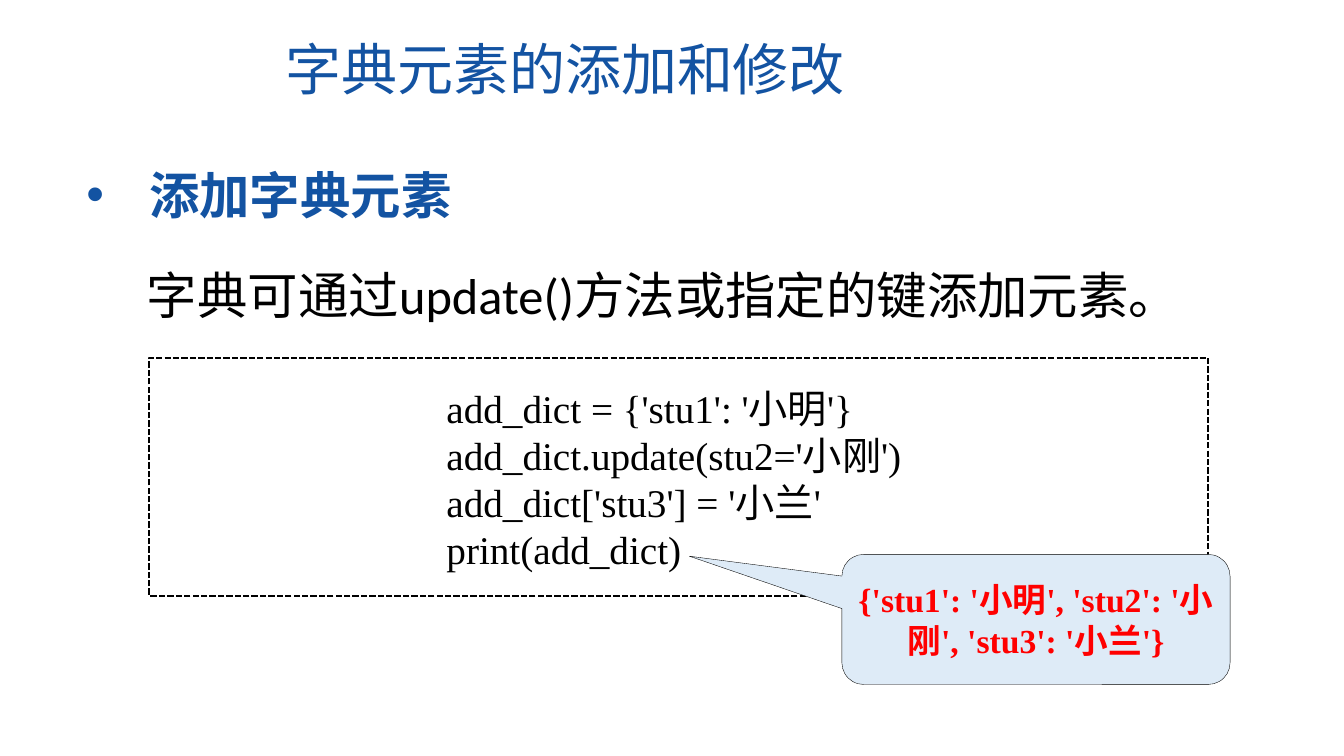
from dataclasses import dataclass

from lxml.etree import SubElement
from pptx import Presentation
from pptx.dml.color import RGBColor
from pptx.enum.dml import MSO_LINE
from pptx.enum.shapes import MSO_SHAPE as Preset
from pptx.enum.text import MSO_ANCHOR as Anchor, MSO_AUTO_SIZE as AutoSize, PP_ALIGN as Align
from pptx.oxml.ns import qn
from pptx.shapes.autoshape import Shape
from pptx.slide import Slide
from pptx.util import Inches, Pt

BLUE = RGBColor(0x13, 0x53, 0xA2)
BLACK = RGBColor(0, 0, 0)
RED = RGBColor(0xFF, 0, 0)
PALE_BLUE = RGBColor(0xDE, 0xEB, 0xF7)
CHINESE = "Noto Sans CJK SC"
CODE = "Times New Roman"


@dataclass
class TextBlock:
    left: float
    top: float
    width: float
    height: float
    lines: list[str]
    size: int
    font: str
    color: RGBColor = BLACK
    bold: bool = False
    spacing: float = 1.0
    bullet: bool = False


TEXT_BLOCKS = [
    TextBlock(1.36, 2.45, 11, 0.83, ["字典可通过update()方法或指定的键添加元素。"],
              36, "Calibri", spacing=1.2),
    TextBlock(0.76, 1.58, 8, 0.71, ["添加字典元素"],
              36, CHINESE, BLUE, bold=True, bullet=True),
    TextBlock(4.33, 3.76, 5.06, 1.99, [
        "add_dict = {'stu1': '小明'}",
        "add_dict.update(stu2='小刚')",
        "add_dict['stu3'] = '小兰'",
        "print(add_dict)",
    ], 28, CODE),
]


def write_text(shape: Shape, lines: list[str], *, size: int, font: str, color: RGBColor,
               bold: bool = False, spacing: float = 1.0, bullet: bool = False,
               align: Align = Align.LEFT, anchor: Anchor = Anchor.TOP) -> None:
    frame = shape.text_frame
    frame.word_wrap = True
    frame.auto_size = AutoSize.NONE
    frame.vertical_anchor = anchor
    for index, line in enumerate(lines):
        paragraph = frame.add_paragraph() if index else frame.paragraphs[0]
        if bullet:
            add_bullet(paragraph)
        paragraph.alignment = align
        paragraph.line_spacing = spacing
        run = paragraph.add_run()
        run.text = line
        run.font.size = Pt(size)
        run.font.bold = bold
        run.font.color.rgb = color
        run.font.name = font
        SubElement(run.font._element, qn("a:ea"), typeface=CHINESE)


def add_bullet(paragraph) -> None:
    properties = paragraph._p.get_or_add_pPr()
    properties.set("marL", str(Inches(0.62)))
    properties.set("indent", str(Inches(-0.62)))
    SubElement(properties, qn("a:buFont"), typeface="Arial")
    SubElement(properties, qn("a:buChar"), char="•")


def add_title(slide: Slide) -> None:
    title = slide.shapes.title
    title.left, title.top = Inches(2.73), Inches(0.29)
    title.width, title.height = Inches(5.88), Inches(0.77)
    write_text(title, ["字典元素的添加和修改"], size=40, font=CHINESE, color=BLUE)


def add_code_frame(slide: Slide) -> None:
    frame = slide.shapes.add_shape(
        Preset.RECTANGLE, Inches(1.48), Inches(3.55), Inches(10.5), Inches(2.36))
    frame.shadow.inherit = False
    frame.fill.background()
    frame.line.color.rgb = BLACK
    frame.line.width = Pt(1.5)
    frame.line.dash_style = MSO_LINE.SQUARE_DOT


def add_text_block(slide: Slide, block: TextBlock) -> None:
    box = slide.shapes.add_textbox(
        Inches(block.left), Inches(block.top), Inches(block.width), Inches(block.height))
    write_text(box, block.lines, size=block.size, font=block.font, color=block.color,
               bold=block.bold, spacing=block.spacing, bullet=block.bullet)


def add_output_callout(slide: Slide) -> None:
    callout = slide.shapes.add_shape(
        Preset.ROUNDED_RECTANGULAR_CALLOUT,
        Inches(8.35), Inches(5.5), Inches(3.85), Inches(1.29))
    for index, value in enumerate((-0.893, -0.486, 0.167)):
        callout.adjustments[index] = value
    callout.shadow.inherit = False
    callout.fill.solid()
    callout.fill.fore_color.rgb = PALE_BLUE
    callout.line.color.rgb = BLACK
    callout.line.width = Pt(0.25)
    write_text(callout, ["{'stu1': '小明', 'stu2': '小刚', 'stu3': '小兰'}"], size=24,
               font=CODE, color=RED, bold=True, align=Align.CENTER, anchor=Anchor.MIDDLE)


def main() -> None:
    presentation = Presentation()
    presentation.slide_width = Inches(13.33)
    presentation.slide_height = Inches(7.5)
    slide = presentation.slides.add_slide(presentation.slide_layouts[5])
    add_title(slide)
    add_code_frame(slide)
    for block in TEXT_BLOCKS:
        add_text_block(slide, block)
    add_output_callout(slide)
    presentation.save("out.pptx")


if __name__ == "__main__":
    main()
